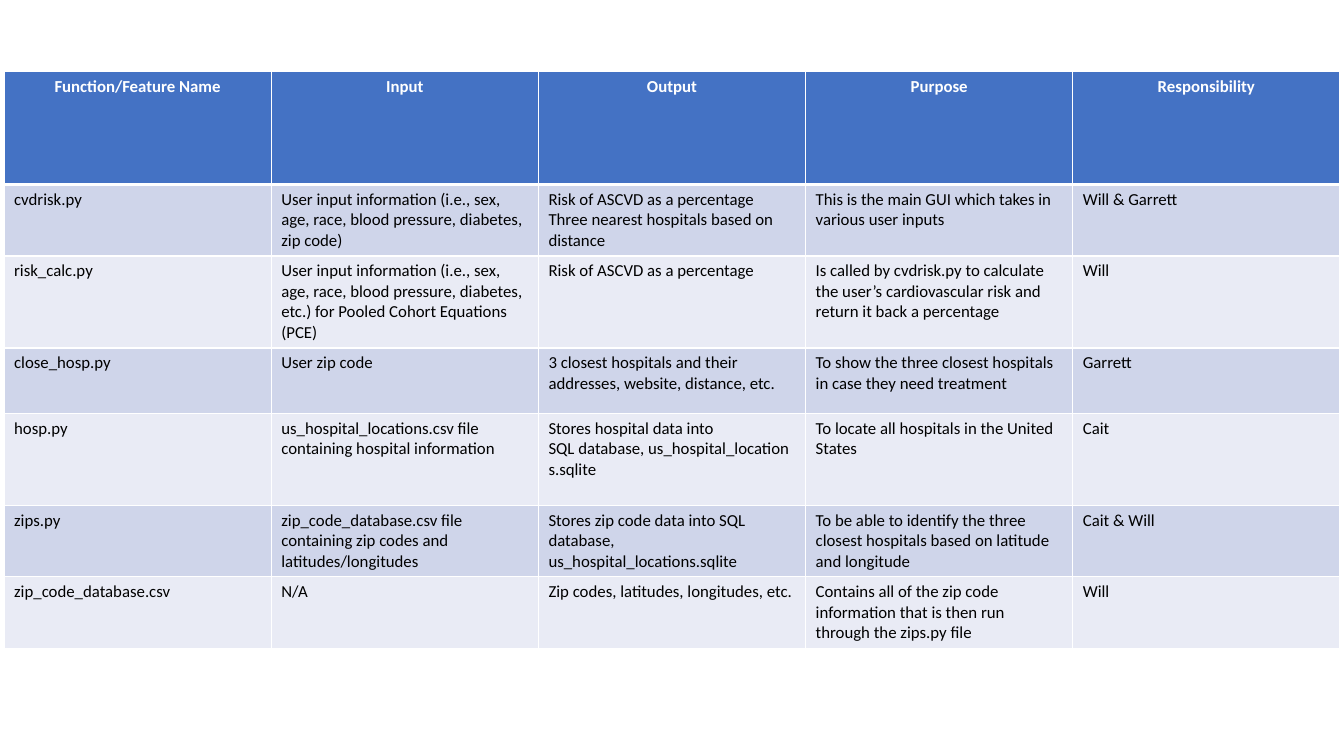
from lxml import etree
from pptx import Presentation
from pptx.dml.color import RGBColor
from pptx.enum import text
from pptx.oxml import ns
from pptx.util import Inches, Pt

COLORS = {
    "header": "4472C4",
    "odd_row": "CFD5EA",
    "even_row": "E9EBF5",
    "border": "FFFFFF",
    "header_text": "FFFFFF",
    "body_text": "000000",
}

HEADERS = ["Function/Feature Name", "Input", "Output", "Purpose", "Responsibility"]
FEATURES = [
    ["cvdrisk.py",
     "User input information (i.e., sex, age, race, blood pressure, diabetes, zip code)",
     "Risk of ASCVD as a percentage\nThree nearest hospitals based on distance",
     "This is the main GUI which takes in various user inputs",
     "Will & Garrett"],
    ["risk_calc.py",
     "User input information (i.e., sex, age,\u00a0race, blood pressure, diabetes, etc.) "
     "for Pooled Cohort Equations (PCE)",
     "Risk of ASCVD as a percentage",
     "Is called by cvdrisk.py to calculate the user\u2019s cardiovascular risk "
     "and return it back a percentage",
     "Will"],
    ["close_hosp.py",
     "User zip code",
     "3 closest hospitals and their addresses, website, distance, etc.",
     "To show the three closest hospitals in case they need treatment",
     "Garrett"],
    ["hosp.py",
     "us_hospital_locations.csv file containing hospital information",
     "Stores hospital data into SQL\u00a0database,\u00a0us_hospital_locations.sqlite",
     "To locate all hospitals\u00a0in the United States",
     "Cait"],
    ["zips.py",
     "zip_code_database.csv file containing zip codes and latitudes/longitudes",
     "Stores zip code data into SQL database, us_hospital_locations.sqlite",
     "To be able to identify the three closest hospitals based on latitude and longitude",
     "Cait & Will"],
    ["zip_code_database.csv",
     "N/A",
     "Zip codes, latitudes, longitudes, etc.",
     "Contains all of the zip code information that is then run through the zips.py file",
     "Will"],
]
ROW_HEIGHTS = [1.12, 0.71, 0.91, 0.65, 0.91, 0.71, 0.71]
COLUMN_WIDTH = 2.65


class SlideBuilder:
    font_name = "Calibri"
    font_size = Pt(12)

    def __init__(self, slide):
        self.slide = slide

    def border(self, cell, side, width):
        properties = cell._tc.get_or_add_tcPr()
        line = etree.SubElement(properties, ns.qn(f"a:ln{side}"), w=str(Pt(width)))
        fill = etree.SubElement(line, ns.qn("a:solidFill"))
        etree.SubElement(fill, ns.qn("a:srgbClr"), val=COLORS["border"])

    def cell(self, cell, content, fill, color, header, top_width, bottom_width):
        for side, width in zip("LRTB", (1, 1, top_width, bottom_width)):
            self.border(cell, side, width)
        cell.fill.solid()
        cell.fill.fore_color.rgb = RGBColor.from_string(COLORS[fill])
        cell.text = content
        for paragraph in cell.text_frame.paragraphs:
            paragraph.alignment = text.PP_ALIGN.CENTER if header else text.PP_ALIGN.LEFT
            font = paragraph.font
            font.name, font.size, font.bold = self.font_name, self.font_size, header
            font.color.rgb = RGBColor.from_string(COLORS[color])

    def table(self, left, top, column_width, row_heights, rows):
        columns = len(rows[0])
        table = self.slide.shapes.add_table(
            len(rows), columns, Inches(left), Inches(top),
            Inches(column_width * columns), Inches(sum(row_heights))).table
        for column in table.columns:
            column.width = Inches(column_width)
        for index, (height, contents) in enumerate(zip(row_heights, rows)):
            table.rows[index].height = Inches(height)
            header = index == 0
            fill = "header" if header else "odd_row" if index % 2 else "even_row"
            color = "header_text" if header else "body_text"
            top_width = 3 if index == 1 else 1
            bottom_width = 3 if header else 1
            for cell, content in zip(table.rows[index].cells, contents):
                self.cell(cell, content, fill, color, header, top_width, bottom_width)


presentation = Presentation()
presentation.slide_width = Inches(13.33)
presentation.slide_height = Inches(7.5)
builder = SlideBuilder(presentation.slides.add_slide(presentation.slide_layouts[6]))
builder.table(0.04, 0.71, COLUMN_WIDTH, ROW_HEIGHTS, [HEADERS] + FEATURES)
presentation.save("out.pptx")
